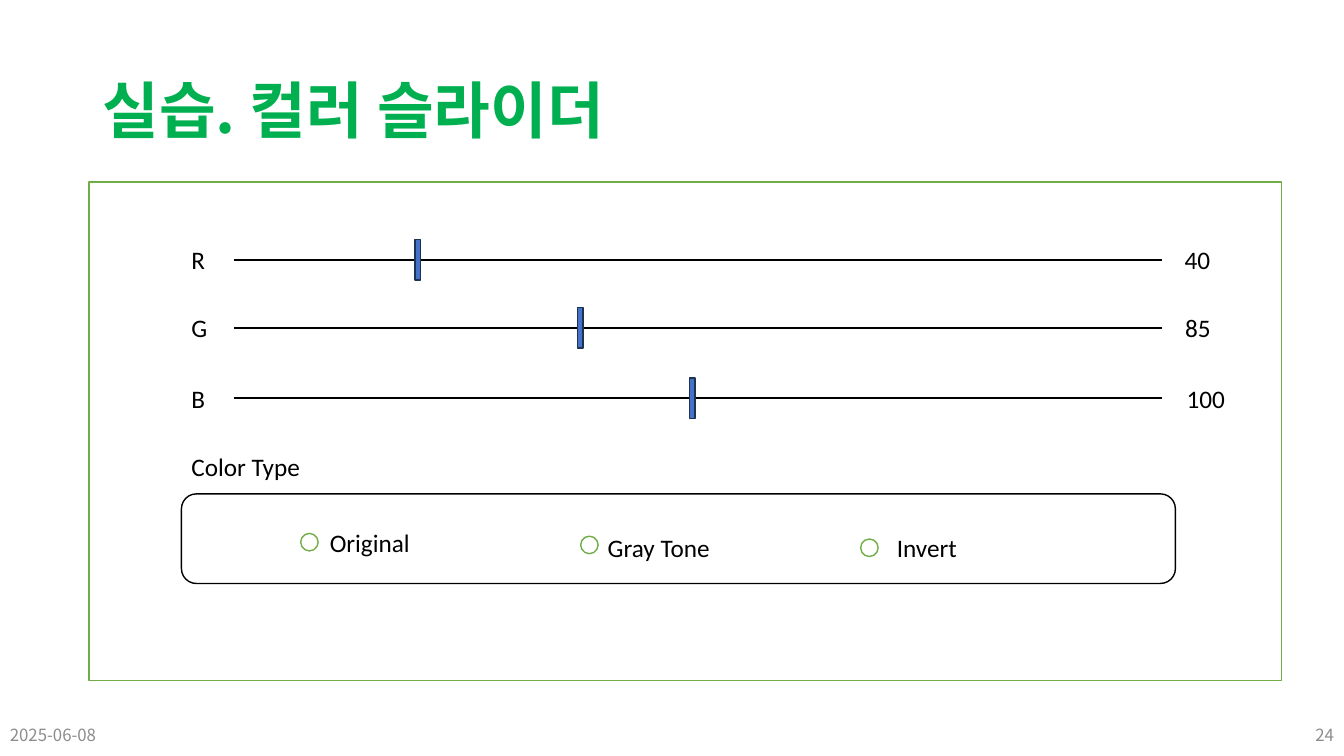
import pptx
import pptx.util
import pptx.dml.color
import pptx.enum.shapes
import pptx.enum.text
import pptx.oxml.ns
from lxml import etree

Pt = pptx.util.Pt
Shape = pptx.enum.shapes.MSO_SHAPE
Align = pptx.enum.text.PP_ALIGN
Anchor = pptx.enum.text.MSO_ANCHOR
qn = pptx.oxml.ns.qn

COLORS = {"title": "00B050", "footer": "8C8C8C", "text": "000000", "paper": "FFFFFF",
          "green": "70AD47", "handle": "4472C4", "handle_edge": "1E3256"}
KOREAN = "Noto Sans CJK KR"
FORMATS = {
    "title": {"size": Pt(44), "name": KOREAN, "bold": True},
    "footer": {"size": Pt(12), "name": KOREAN},
    "text": {"size": Pt(18), "name": "Calibri"},
}

presentation = pptx.Presentation()
presentation.slide_width, presentation.slide_height = Pt(960), Pt(540)
slide = presentation.slides.add_slide(presentation.slide_layouts[5])


def write(shape, text, style, align=Align.LEFT, anchor=Anchor.TOP):
    frame = shape.text_frame
    frame.vertical_anchor = anchor
    paragraph = frame.paragraphs[0]
    paragraph.alignment = align
    run = paragraph.add_run()
    run.text = text
    for attribute, value in FORMATS[style].items():
        setattr(run.font, attribute, value)
    run.font.color.rgb = pptx.dml.color.RGBColor.from_string(COLORS[style])
    # East Asian typeface follows the Latin one
    latin = run.font._element.find(qn("a:latin"))
    east_asian = etree.Element(qn("a:ea"), typeface=FORMATS[style]["name"])
    latin.addnext(east_asian)


def draw(kind, left, top, width, height, fill, line):
    shape = slide.shapes.add_shape(kind, Pt(left), Pt(top), Pt(width), Pt(height))
    shape.shadow.inherit = False
    shape.fill.solid()
    shape.fill.fore_color.rgb = pptx.dml.color.RGBColor.from_string(COLORS[fill])
    shape.line.color.rgb = pptx.dml.color.RGBColor.from_string(COLORS[line])
    shape.line.width = Pt(1)


# Title
title = slide.shapes.title
title.left, title.top, title.width, title.height = Pt(66), Pt(28.75), Pt(828), Pt(104.4)
title.text_frame.word_wrap = True
write(title, "실습. 컬러 슬라이더", "title", anchor=Anchor.MIDDLE)
title.text_frame.paragraphs[0].line_spacing = 0.9

# Date and slide number
for text, left, align in [("2025-06-08", 0, Align.LEFT), ("24", 744, Align.RIGHT)]:
    footer = slide.shapes.add_textbox(Pt(left), Pt(510.5), Pt(216), Pt(28.75))
    footer.text_frame.word_wrap = True
    write(footer, text, "footer", align, Anchor.MIDDLE)

# Panel and the frame of the color types
draw(Shape.RECTANGLE, 63.5, 130, 852, 356, "paper", "green")
draw(Shape.ROUNDED_RECTANGLE, 129.6, 352.8, 710, 64, "paper", "text")

labels = [("Color Type", 129.6, 319, 106)]

# Sliders: name, value, track height, handle position, value position
sliders = [("R", "40", 185.5, 298.5, 839),
           ("G", "85", 234, 414.5, 839.5),
           ("B", "100", 284.5, 494.5, 840.5)]
for name, value, track_y, handle_x, value_x in sliders:
    track = slide.shapes.add_connector(pptx.enum.shapes.MSO_CONNECTOR.STRAIGHT,
                                       Pt(167), Pt(track_y), Pt(830), Pt(track_y))
    track.line.color.rgb = pptx.dml.color.RGBColor.from_string(COLORS["text"])
    track.line.width = Pt(1.5)
    etree.SubElement(track._element.spPr, qn("a:effectLst"))
    draw(Shape.RECTANGLE, handle_x - 2, track_y - 14.5, 4, 29, "handle", "handle_edge")
    labels += [(name, 129.6, track_y - 14.5, 26),
               (value, value_x, track_y - 14.5, 14.4 + 9.2 * len(value))]

# Radio buttons, evenly spaced and each 2 points lower
options = [("Original", 228.5, 373, 78), ("Gray Tone", 427, 376.5, 101), ("Invert", 633.5, 376.5, 63)]
for index, option in enumerate(options):
    draw(Shape.OVAL, 214.75 + 200 * index, 381 + 2 * index, 12.5, 12.5, "paper", "green")
    labels.append(option)

# Labels
for text, left, top, width in labels:
    label = slide.shapes.add_textbox(Pt(left), Pt(top), Pt(width), Pt(29))
    label.text_frame.word_wrap = False
    label.text_frame.auto_size = pptx.enum.text.MSO_AUTO_SIZE.SHAPE_TO_FIT_TEXT
    write(label, text, "text")

presentation.save("out.pptx")
